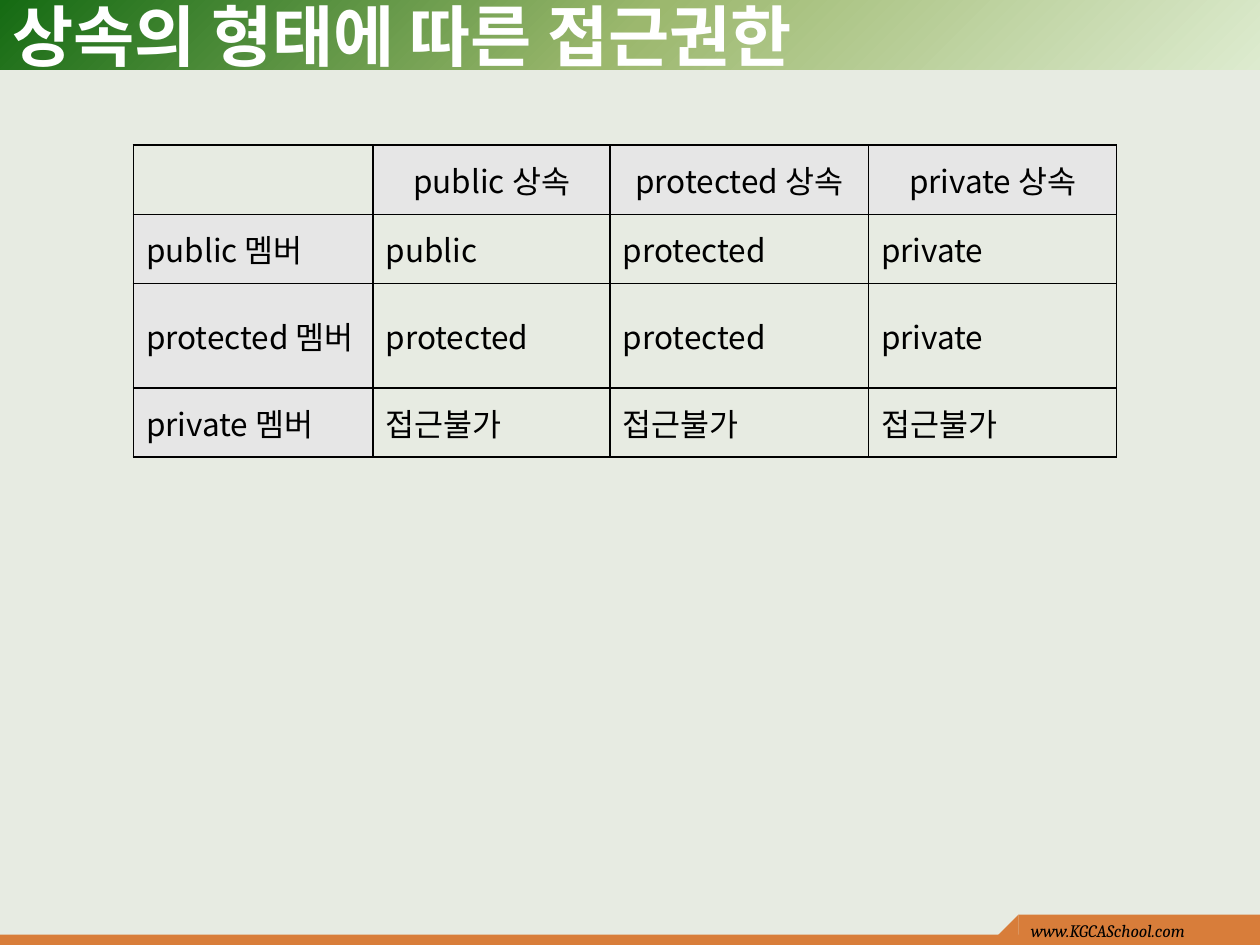
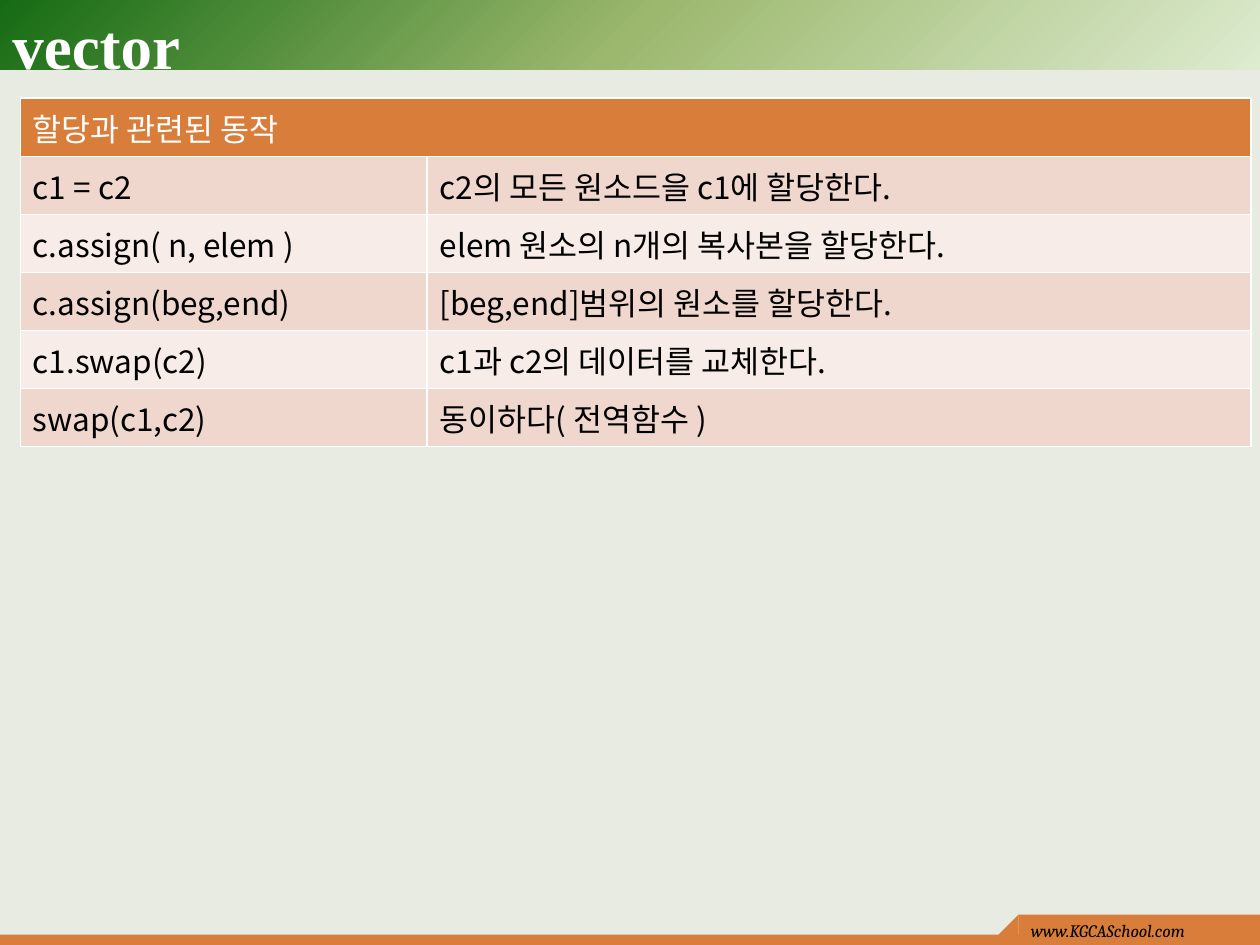
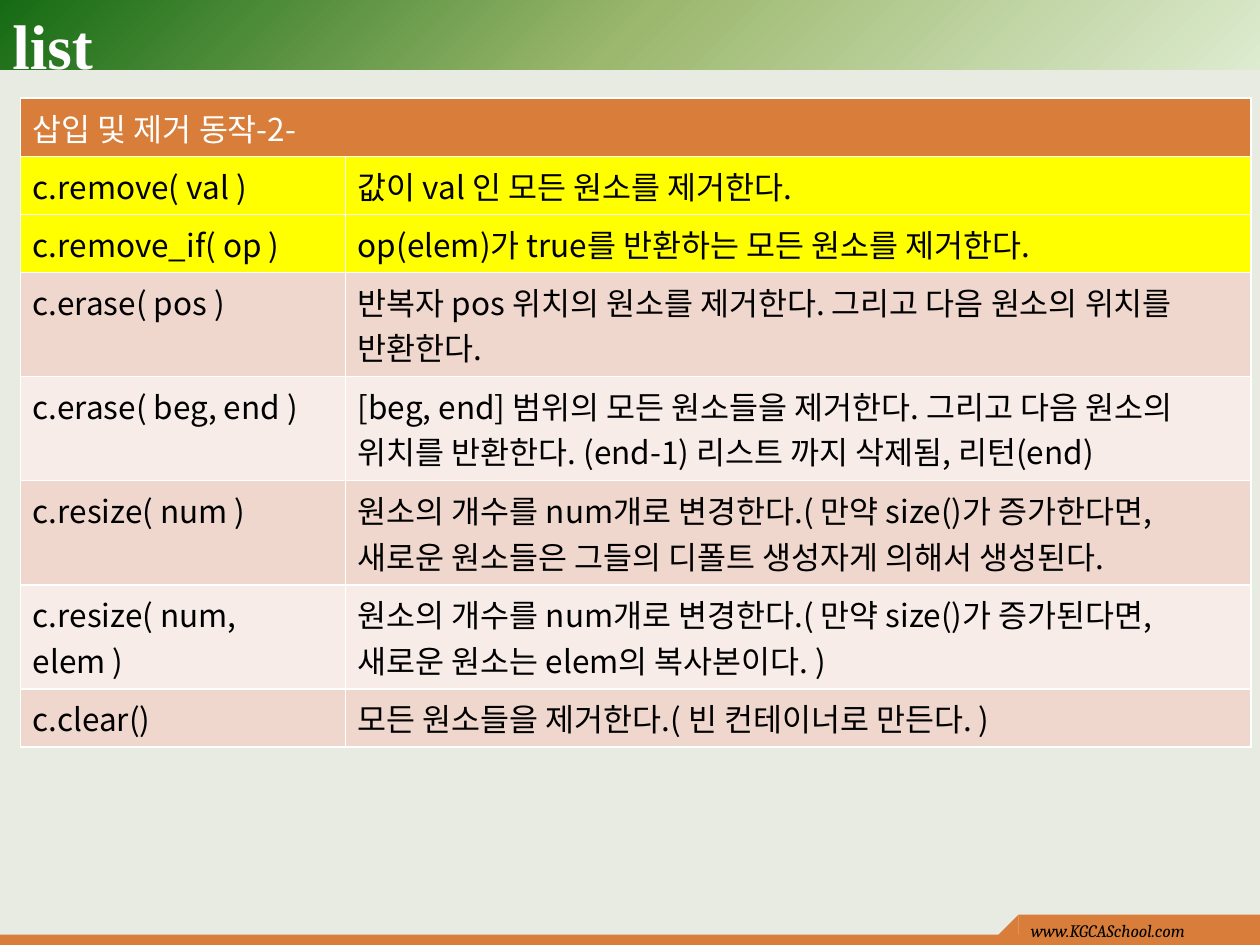
from pptx import Presentation
from pptx.dml.color import RGBColor
from pptx.enum.shapes import MSO_SHAPE
from pptx.enum.text import MSO_ANCHOR, PP_ALIGN
from pptx.oxml import parse_xml
from pptx.oxml.ns import nsdecls
from pptx.util import Cm, Pt

BLACK = RGBColor(0x00, 0x00, 0x00)
WHITE = RGBColor(0xFF, 0xFF, 0xFF)
PAPER = RGBColor(0xE7, 0xEB, 0xE2)
ORANGE = RGBColor(0xD8, 0x7D, 0x3A)
GRAY = RGBColor(0xE6, 0xE6, 0xE6)
YELLOW = RGBColor(0xFF, 0xFF, 0x00)
BANDS = (RGBColor(0xF8, 0xEC, 0xE8), RGBColor(0xF0, 0xD7, 0xCE))
GREENS = ((0, "DDEBCF"), (50, "9CB86E"), (100, "156B13"))

BODY = "Noto Sans CJK KR"
HEAD = "Times New Roman"
FOOT = "Cambria"
SITE = "www.KGCASchool.com"

WIDTH, HEIGHT = 25.4, 19.05
BAR = 1.4
LINE_TOP = 18.84
TAB_TOP, TAB_LEFT, TAB_SLANT = 18.44, 20.53, 0.43
ONE_LINE, TWO_LINES = 1.17, 2.1

ACCESS = [
    ("", "public 상속", "protected 상속", "private 상속"),
    ("public 멤버", "public", "protected", "private"),
    ("protected 멤버", "protected", "protected", "private"),
    ("private 멤버", "접근불가", "접근불가", "접근불가"),
]
ACCESS_COLS = (4.83, 4.78, 5.21, 5)
ACCESS_ROWS = (1.4, 1.4, TWO_LINES, 1.4)

# Each call: name, meaning, lines of text, marked or not
CALLS = [
    {
        "title": "vector",
        "head": "할당과 관련된 동작",
        "cols": (8.2, 16.61),
        "rows": [
            ("c1 = c2", "c2의 모든 원소드을 c1에 할당한다.", 1, False),
            ("c.assign( n, elem )", "elem 원소의 n개의 복사본을 할당한다.", 1, False),
            ("c.assign(beg,end)", "[beg,end]범위의 원소를 할당한다.", 1, False),
            ("c1.swap(c2)", "c1과 c2의 데이터를 교체한다.", 1, False),
            ("swap(c1,c2)", "동이하다( 전역함수 )", 1, False),
        ],
    },
    {
        "title": "list",
        "head": "삽입 및 제거 동작-2-",
        "cols": (6.55, 18.26),
        "rows": [
            ("c.remove( val )", "값이 val 인 모든 원소를 제거한다.", 1, True),
            ("c.remove_if( op )",
             "op(elem)가 true를 반환하는 모든 원소를 제거한다.", 1, True),
            ("c.erase( pos )",
             "반복자 pos 위치의 원소를 제거한다. 그리고 다음 원소의 위치를 "
             "반환한다.", 2, False),
            ("c.erase( beg, end )",
             "[beg, end] 범위의 모든 원소들을 제거한다. 그리고 다음 원소의 "
             "위치를 반환한다. (end-1) 리스트 까지 삭제됨, 리턴(end)", 2, False),
            ("c.resize( num )",
             "원소의 개수를 num개로 변경한다.( 만약 size()가 증가한다면, "
             "새로운 원소들은 그들의 디폴트 생성자게 의해서 생성된다.", 2, False),
            ("c.resize( num, elem )",
             "원소의 개수를 num개로 변경한다.( 만약 size()가 증가된다면, "
             "새로운 원소는 elem의 복사본이다. )", 2, False),
            ("c.clear()", "모든 원소들을 제거한다.( 빈 컨테이너로 만든다. )", 1, False),
        ],
    },
]


def write(frame, text, name, size, color, bold=False, italic=False):
    para = frame.paragraphs[0]
    para.text = text
    font = para.font
    font.name, font.size = name, Pt(size)
    font.bold, font.italic = bold, italic
    font.color.rgb = color
    return para


def add_text(slide, box, text, *style, **flags):
    frame = slide.shapes.add_textbox(*map(Cm, box)).text_frame
    frame.word_wrap = True
    write(frame, text, *style, **flags)
    return frame


def paint(shape, color):
    shape.shadow.inherit = False
    shape.fill.solid()
    shape.fill.fore_color.rgb = color
    shape.line.fill.background()


def add_rect(slide, *box):
    rect = slide.shapes.add_shape(MSO_SHAPE.RECTANGLE, *map(Cm, box))
    paint(rect, ORANGE)
    return rect


def shade(shape):
    """Fill with a green gradient that spreads from the lower right corner."""
    stops = "".join(
        f'<a:gs pos="{at * 1000}"><a:srgbClr val="{color}"/></a:gs>'
        for at, color in GREENS)
    props = shape._element.spPr
    old = props.find("{*}solidFill")
    props.replace(old, parse_xml(
        f'<a:gradFill {nsdecls("a")} rotWithShape="1"><a:gsLst>{stops}</a:gsLst>'
        '<a:path path="circle"><a:fillToRect l="100000" t="100000"/></a:path>'
        '</a:gradFill>'))


def add_page(deck, title, size, width, height):
    slide = deck.slides.add_slide(deck.slide_layouts[6])
    back = slide.background.fill
    back.solid()
    back.fore_color.rgb = PAPER

    shade(add_rect(slide, 0, 0, WIDTH, BAR))
    add_rect(slide, 0, LINE_TOP, WIDTH, HEIGHT - LINE_TOP)
    add_rect(slide, TAB_LEFT, TAB_TOP, WIDTH - TAB_LEFT, TAB_SLANT)
    low = TAB_TOP + TAB_SLANT
    pen = slide.shapes.build_freeform(Cm(TAB_LEFT - TAB_SLANT), Cm(low))
    pen.add_line_segments([(Cm(TAB_LEFT), Cm(low)), (Cm(TAB_LEFT), Cm(TAB_TOP))])
    paint(pen.convert_to_shape(), ORANGE)
    add_text(slide, (TAB_LEFT, 18.42, WIDTH - TAB_LEFT, 0.63),
             SITE, FOOT, 10, BLACK, italic=True)

    frame = add_text(slide, (0, 0, width, height), title, HEAD, size, WHITE, bold=True)
    frame.vertical_anchor = MSO_ANCHOR.MIDDLE
    return slide


def add_grid(slide, left, top, cols, rows):
    frame = slide.shapes.add_table(
        len(rows), len(cols), Cm(left), Cm(top), Cm(sum(cols)), Cm(sum(rows)))
    table = frame.table
    table.first_row = table.horz_banding = False
    for col, width in zip(table.columns, cols):
        col.width = Cm(width)
    for row, height in zip(table.rows, rows):
        row.height = Cm(height)
    return table


def set_cell(cell, text, color, fill, edge):
    props = cell._tc.get_or_add_tcPr()
    for side in "LRTB":
        props.append(parse_xml(
            f'<a:ln{side} {nsdecls("a")} w="12700"><a:solidFill>'
            f'<a:srgbClr val="{edge}"/></a:solidFill></a:ln{side}>'))
    if fill is None:
        cell.fill.background()
    else:
        cell.fill.solid()
        cell.fill.fore_color.rgb = fill
    return write(cell.text_frame, text, BODY, 18, color)


def add_access(deck):
    slide = add_page(deck, "상속의 형태에 따른 접근권한", 38, 22.5, BAR)
    table = add_grid(slide, 2.69, 2.92, ACCESS_COLS, ACCESS_ROWS)
    for r, row in enumerate(ACCESS):
        for c, text in enumerate(row):
            cell = table.cell(r, c)
            label = (r == 0) != (c == 0)
            para = set_cell(cell, text, BLACK, GRAY if label else None, BLACK)
            cell.vertical_anchor = MSO_ANCHOR.MIDDLE
            if r == 0:
                para.alignment = PP_ALIGN.CENTER


def add_calls(deck, page):
    slide = add_page(deck, page["title"], 36, 22.86, 1.78)
    heights = [ONE_LINE] + [
        TWO_LINES if lines == 2 else ONE_LINE for _, _, lines, _ in page["rows"]]
    table = add_grid(slide, 0.41, 1.98, page["cols"], heights)
    for c, text in enumerate((page["head"], "")):
        set_cell(table.cell(0, c), text, WHITE, ORANGE, WHITE)
    table.cell(0, 0).merge(table.cell(0, 1))
    for r, (name, note, _, marked) in enumerate(page["rows"], 1):
        fill = YELLOW if marked else BANDS[r % 2]
        for c, text in enumerate((name, note)):
            set_cell(table.cell(r, c), text, BLACK, fill, WHITE)


def main():
    deck = Presentation()
    deck.slide_width, deck.slide_height = Cm(WIDTH), Cm(HEIGHT)
    add_access(deck)
    for page in CALLS:
        add_calls(deck, page)
    deck.save("out.pptx")


if __name__ == "__main__":
    main()
